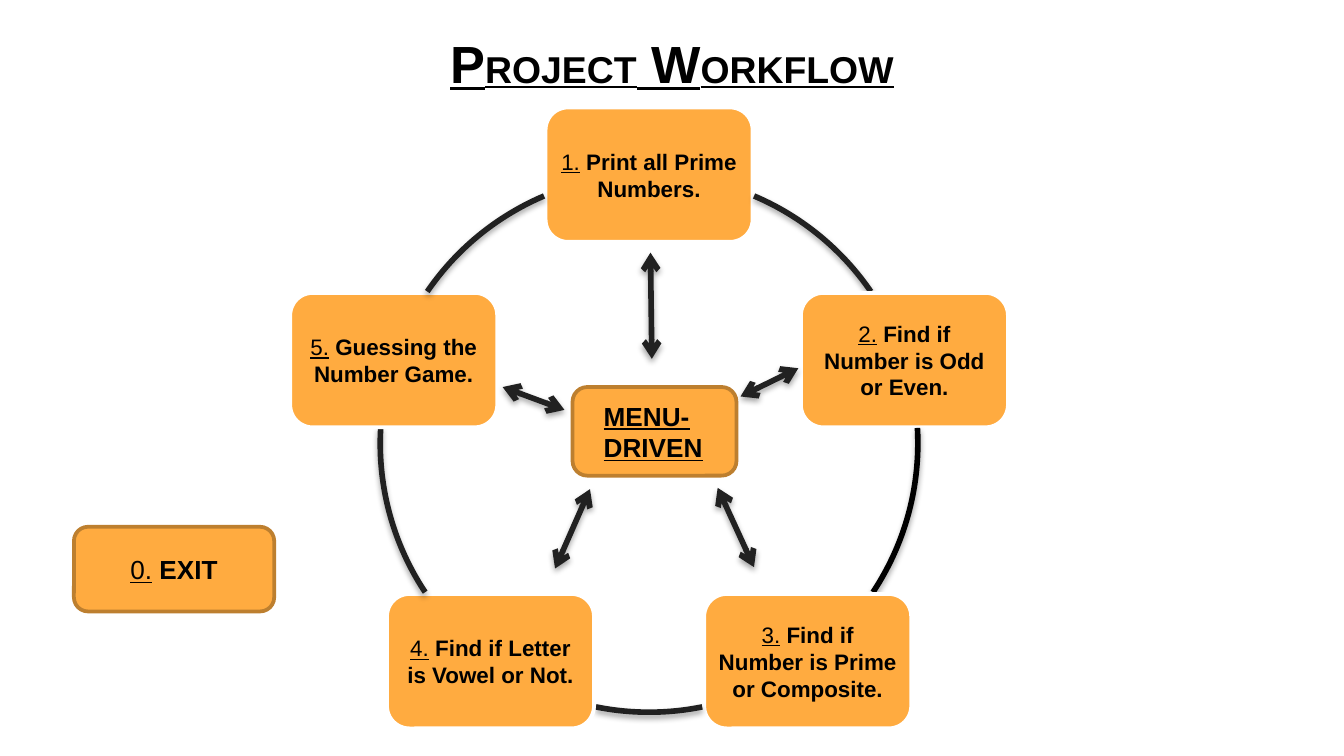
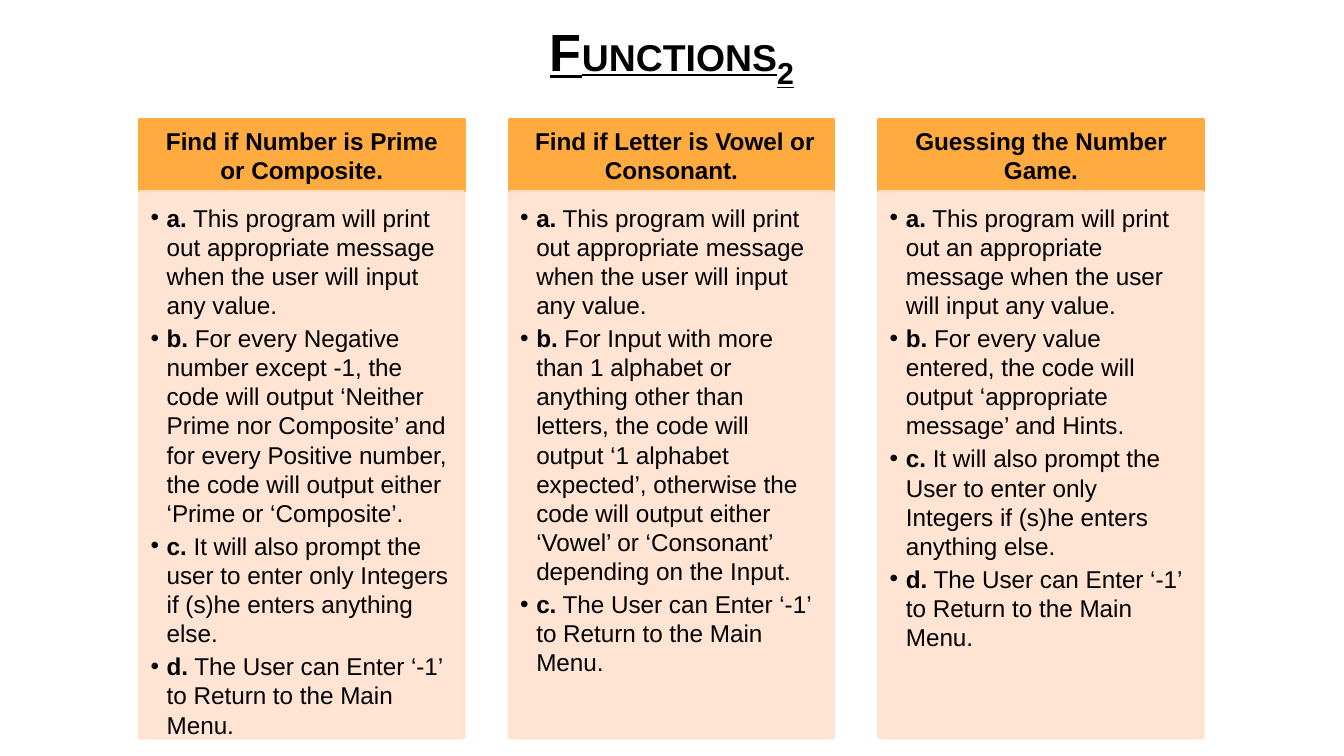
"""Build the project workflow and functions slides."""
import math
from typing import NamedTuple, Optional

import lxml.etree
import pptx
import pptx.dml.color
import pptx.enum.shapes
import pptx.enum.text
import pptx.oxml.ns
import pptx.util

RGBColor = pptx.dml.color.RGBColor
SHAPE = pptx.enum.shapes.MSO_SHAPE
ALIGN = pptx.enum.text.PP_ALIGN
ANCHOR = pptx.enum.text.MSO_ANCHOR
qn = pptx.oxml.ns.qn

PX = 9144
SLIDE_W = 1000
FONT = "Arial"
BLACK = RGBColor(0x00, 0x00, 0x00)
WHITE = RGBColor(0xFF, 0xFF, 0xFF)
INK = RGBColor(0x21, 0x21, 0x21)
ORANGE = RGBColor(0xFF, 0xAB, 0x40)
BROWN = RGBColor(0xBD, 0x7F, 0x2F)
PEACH = RGBColor(0xFF, 0xE2, 0xCF)

CENTER_X, CENTER_Y, RADIUS = 483, 330, 200
NODE_W, NODE_H = 154, 100
COLUMN_LEFT, COLUMN_STEP, COLUMN_W = 104, 275, 241


class Run(NamedTuple):
    text: str
    size: int
    bold: bool = False
    underline: bool = False
    baseline: int = 0


class Box(NamedTuple):
    left: int
    top: int
    width: int
    height: int


class Insets(NamedTuple):
    left: int = 10
    top: int = 5
    right: int = 10
    bottom: int = 5


class Arc(NamedTuple):
    start: float
    end: float
    color: RGBColor = INK


class Arrow(NamedTuple):
    x1: int
    y1: int
    x2: int
    y2: int


class Column(NamedTuple):
    heading: str
    points: list[str]


NODES = [
    "Print all Prime Numbers.",
    "Find if Number is Odd or Even.",
    "Find if Number is Prime or Composite.",
    "Find if Letter is Vowel or Not.",
    "Guessing the Number Game.",
]
ARCS = [
    Arc(293, 325.6),
    Arc(356.7, 33.6, BLACK),
    Arc(78.6, 101.4),
    Arc(146.4, 183.3),
    Arc(214.4, 247),
]
ARROWS = [
    Arrow(484, 188, 485, 267),
    Arrow(551, 295, 594, 274),
    Arrow(534, 363, 561, 422),
    Arrow(439, 364, 413, 423),
    Arrow(374, 288, 420, 305),
]
INPUT_MESSAGE = ("This program will print out appropriate message "
                 "when the user will input any value.")
RETURN_TO_MENU = "The User can Enter ‘-1’ to Return to the Main Menu."
COLUMNS = [
    Column("Find if Number is Prime or Composite.", [
        INPUT_MESSAGE,
        "For every Negative number except -1, the code will output ‘Neither Prime "
        "nor Composite’ and for every Positive number, the code will output either "
        "‘Prime or ‘Composite’.",
        "It will also prompt the user to enter only Integers if (s)he enters "
        "anything else.",
        RETURN_TO_MENU,
    ]),
    Column(" Find if Letter is Vowel or Consonant.", [
        INPUT_MESSAGE,
        "For Input with more than 1 alphabet or anything other than letters, the "
        "code will output ‘1 alphabet expected’, otherwise the code will output "
        "either ‘Vowel’ or ‘Consonant’ depending on the Input.",
        RETURN_TO_MENU,
    ]),
    Column("Guessing the Number Game.", [
        "This program will print out an appropriate message when the user will "
        "input any value.",
        "For every value entered, the code will output ‘appropriate message’ and "
        "Hints.",
        "It will also prompt the User to enter only Integers if (s)he enters "
        "anything else.",
        RETURN_TO_MENU,
    ]),
]


def px(value: float) -> int:
    return round(value * PX)


def add_runs(p, runs: list[Run], align=ALIGN.CENTER) -> None:
    p.alignment = align
    for run in runs:
        r = p.add_run()
        r.text = run.text
        r.font.name = FONT
        r.font.size = pptx.util.Pt(run.size)
        r.font.bold = run.bold
        r.font.underline = run.underline
        r.font.color.rgb = BLACK
        if run.baseline:
            r.font._element.set("baseline", str(run.baseline * 1000))


def set_frame(sp, insets: Insets, anchor):
    tf = sp.text_frame
    tf.word_wrap = True
    tf.vertical_anchor = anchor
    tf.margin_left, tf.margin_top, tf.margin_right, tf.margin_bottom = map(px, insets)
    return tf


def add_box(slide, kind, box: Box, fill: Optional[RGBColor], line: RGBColor,
            width: int = 2):
    sp = slide.shapes.add_shape(kind, *map(px, box))
    sp.shadow.inherit = False
    if fill is None:
        sp.fill.background()
    else:
        sp.fill.solid()
        sp.fill.fore_color.rgb = fill
    sp.line.color.rgb = line
    sp.line.width = pptx.util.Pt(width)
    return sp


def add_label(slide, kind, box: Box, line: RGBColor, runs: list[Run],
              insets: Insets = Insets(), align=ALIGN.CENTER) -> None:
    sp = add_box(slide, kind, box, ORANGE, line)
    tf = set_frame(sp, insets, ANCHOR.MIDDLE)
    add_runs(tf.paragraphs[0], runs, align)


def add_title(slide, top: int, runs: list[Run]) -> None:
    sp = slide.shapes.add_textbox(*map(px, Box(34, top, 932, 63)))
    tf = set_frame(sp, Insets(10, 10, 10, 10), ANCHOR.TOP)
    add_runs(tf.paragraphs[0], runs)


def title_runs(*words: str) -> list[Run]:
    runs = []
    for i, word in enumerate(words):
        runs.append(Run((" " if i else "") + word[0], 28, True, True))
        runs.append(Run(word[1:].upper(), 20, True, True))
    return runs


def numbered(number: int, text: str, size: int) -> list[Run]:
    return [Run(f"{number}.", size, underline=True), Run(" ", size),
            Run(text, size, bold=True)]


def set_alpha(parent, percent: int) -> None:
    for color in list(parent.iter(qn("a:srgbClr"))):
        lxml.etree.SubElement(color, qn("a:alpha"), val=str(percent * 1000))


def add_shadow(sp) -> None:
    spPr = sp._element.spPr
    effects = spPr.find(qn("a:effectLst"))
    if effects is None:
        effects = lxml.etree.SubElement(spPr, qn("a:effectLst"))
    shadow = lxml.etree.SubElement(effects, qn("a:outerShdw"), blurRad="40000",
                                   dist="23000", dir="5400000", rotWithShape="0")
    lxml.etree.SubElement(shadow, qn("a:srgbClr"), val=str(BLACK))
    set_alpha(shadow, 35)


def add_arc(slide, arc: Arc) -> None:
    circle = Box(CENTER_X - RADIUS, CENTER_Y - RADIUS, 2 * RADIUS, 2 * RADIUS)
    sp = add_box(slide, SHAPE.ARC, circle, None, arc.color, 3)
    sp.adjustments[0] = arc.start * 0.6
    sp.adjustments[1] = arc.end * 0.6
    add_shadow(sp)


def add_arrow(slide, arrow: Arrow) -> None:
    sp = slide.shapes.add_connector(pptx.enum.shapes.MSO_CONNECTOR.STRAIGHT,
                                    *map(px, arrow))
    sp.line.color.rgb = INK
    sp.line.width = pptx.util.Pt(3)
    ln = sp.line._get_or_add_ln()
    for end in ("a:headEnd", "a:tailEnd"):
        lxml.etree.SubElement(ln, qn(end), type="arrow")
    add_shadow(sp)


def add_bullet(p) -> None:
    pPr = p._p.get_or_add_pPr()
    pPr.set("marL", str(px(12)))
    pPr.set("indent", str(px(-12)))
    color = lxml.etree.SubElement(pPr, qn("a:buClr"))
    lxml.etree.SubElement(color, qn("a:srgbClr"), val=str(BLACK))
    lxml.etree.SubElement(pPr, qn("a:buFont"), typeface=FONT)
    lxml.etree.SubElement(pPr, qn("a:buChar"), char="•")


def add_column(slide, left: int, column: Column) -> None:
    add_label(slide, SHAPE.RECTANGLE, Box(left, 89, COLUMN_W, 53), ORANGE,
              [Run(column.heading, 13, bold=True)], Insets(10, 6, 10, 6))
    sp = add_box(slide, SHAPE.RECTANGLE, Box(left, 143, COLUMN_W, 406), PEACH, PEACH)
    set_alpha(sp._element.spPr, 90)
    tf = set_frame(sp, Insets(8, 8, 10, 11), ANCHOR.TOP)
    for i, (letter, text) in enumerate(zip("abcd", column.points)):
        p = tf.add_paragraph() if i else tf.paragraphs[0]
        p.space_after = pptx.util.Pt(2)
        add_bullet(p)
        add_runs(p, [Run(f"{letter}.", 13, bold=True), Run(f" {text}", 13)], ALIGN.LEFT)


def build_workflow(slide) -> None:
    add_title(slide, 13, title_runs("Project", "Workflow"))
    for i, (text, arc) in enumerate(zip(NODES, ARCS)):
        angle = math.radians(72 * i - 90)
        left = round(CENTER_X + RADIUS * math.cos(angle) - NODE_W / 2)
        top = round(CENTER_Y + RADIUS * math.sin(angle) - NODE_H / 2)
        add_label(slide, SHAPE.ROUNDED_RECTANGLE, Box(left, top, NODE_W, NODE_H), WHITE,
                  numbered(i + 1, text, 12), Insets(5, 5, 5, 5))
        add_arc(slide, arc)
    add_label(slide, SHAPE.ROUNDED_RECTANGLE, Box(426, 288, 122, 66), BROWN,
              [Run("MENU-DRIVEN", 14, True, True)], Insets(left=20), ALIGN.LEFT)
    for arrow in ARROWS:
        add_arrow(slide, arrow)
    add_label(slide, SHAPE.ROUNDED_RECTANGLE, Box(55, 392, 149, 63), BROWN,
              numbered(0, "EXIT", 14))


def build_functions(slide) -> None:
    for i, column in enumerate(COLUMNS):
        add_column(slide, COLUMN_LEFT + i * COLUMN_STEP, column)
    add_title(slide, 4, title_runs("Functions") + [Run("2", 28, True, True, -25)])


def main() -> None:
    prs = pptx.Presentation()
    prs.slide_width = px(SLIDE_W)
    prs.slide_height = px(SLIDE_W * 9 / 16)
    for build in (build_workflow, build_functions):
        build(prs.slides.add_slide(prs.slide_layouts[6]))
    prs.save("out.pptx")


if __name__ == "__main__":
    main()
